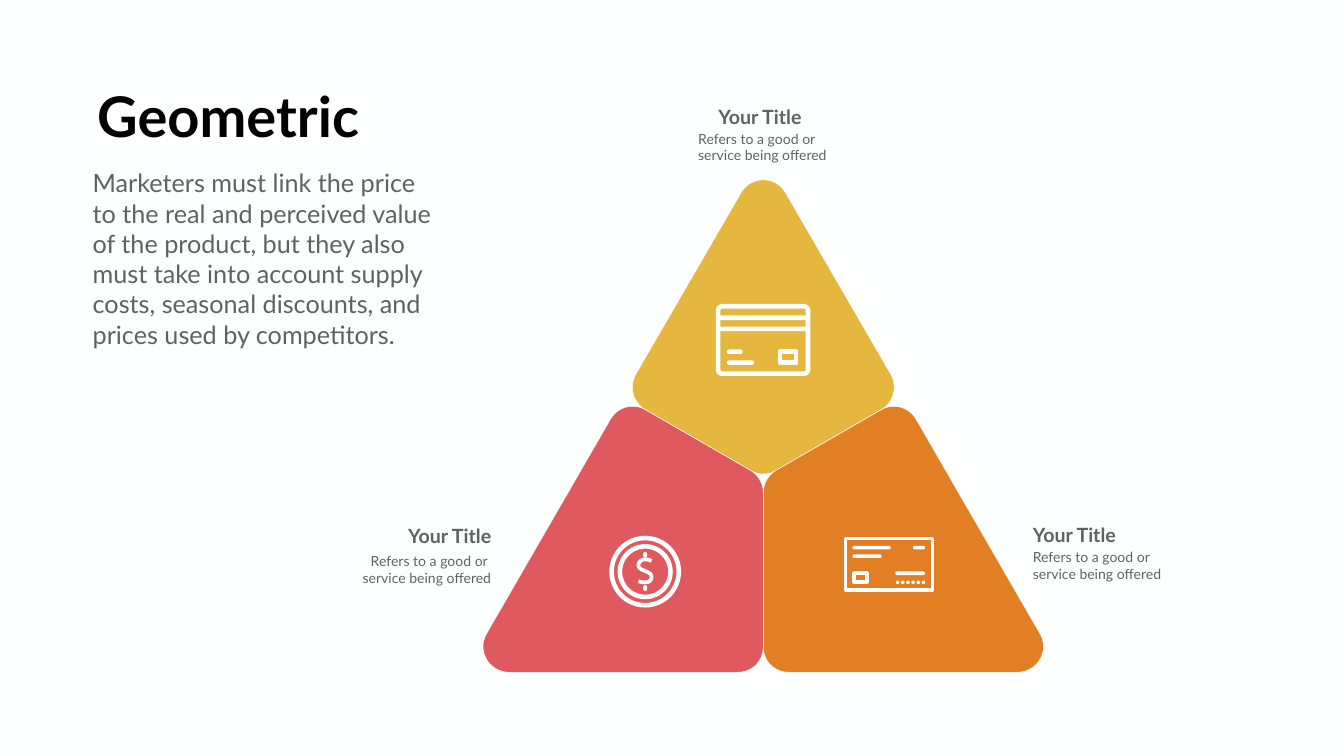
from pptx import Presentation
from pptx.dml.color import RGBColor
from pptx.enum.shapes import MSO_SHAPE
from pptx.enum.text import PP_ALIGN
from pptx.util import Cm, Pt

ROUNDED, RECT, OVAL = MSO_SHAPE.ROUNDED_RECTANGLE, MSO_SHAPE.RECTANGLE, MSO_SHAPE.OVAL
LEFT, CENTER, RIGHT = PP_ALIGN.LEFT, PP_ALIGN.CENTER, PP_ALIGN.RIGHT

COLORS = {
    "background": "FEFFFF", "title": "000000", "text": "616161", "white": "FFFFFF",
    "top": "E5B73F", "right": "E27E24", "left": "DF595E",
}
FORMATS = {
    "title": {"size": Pt(80), "bold": True},
    "body": {"size": Pt(36), "bold": False},
    "heading": {"size": Pt(28), "bold": True},
    "detail": {"size": Pt(20), "bold": False},
}

# Rounded corners as Bezier points in cm: x from the triangle's axis, y from its tip
TIP = [(1.13, 0.89), (0.63, 0), (-0.63, 0), (-1.13, 0.89)]
TOP_SIDE = [(-6.43, 10.03), (-6.78, 10.67), (-6.55, 11.46), (-5.94, 11.81)]
TOP_FOOT = [(-0.65, 14.86), (-0.24, 15.11), (0.24, 15.11), (0.65, 14.86)]
RIGHT_CORNERS = [
    [(0.65, 14.86), (0.24, 15.11), (0, 15.54), (0, 16)],
    [(0, 23.75), (0, 24.49), (0.56, 25.04), (1.3, 25.04)],
    [(12.8, 25.04), (13.82, 25.04), (14.45, 23.95), (13.94, 23.09)],
    [(7.7, 12.29), (7.34, 11.66), (6.55, 11.46), (5.94, 11.81)],
]
DOLLAR_CURVES = [
    [(2.13, 1.27), (1.75, 1.09), (1.47, 1.24), (1.47, 1.5)],
    [(1.47, 1.5), (1.47, 1.78), (2.13, 1.75), (2.13, 2.08)],
    [(2.13, 2.08), (2.13, 2.36), (1.8, 2.41), (1.47, 2.29)],
]


def rgb(name):
    return RGBColor.from_string(COLORS[name])


def mirror(corner):
    return [(-x, y) for x, y in reversed(corner)]


def bezier(curve, steps=16):
    points = []
    for step in range(steps + 1):
        t = step / steps
        weights = ((1 - t) ** 3, 3 * t * (1 - t) ** 2, 3 * t ** 2 * (1 - t), t ** 3)
        points.append(tuple(sum(w * p[axis] for w, p in zip(weights, curve))
                            for axis in (0, 1)))
    return points


def add_curves(slide, left, top, curves, close=True):
    """Draw Bezier curves joined by straight edges, measured from (left, top)."""
    points = [(Cm(left + x), Cm(top + y)) for curve in curves for x, y in bezier(curve)]
    builder = slide.shapes.build_freeform(*points[0])
    builder.add_line_segments(points[1:], close=close)
    outline = builder.convert_to_shape()
    outline.shadow.inherit = False
    return outline


def add_white(slide, kind, left, top, width, height, stroke=None, radius=0.5):
    """Add a solid white shape, or a white frame whose stroke lies inside the box."""
    inset = (stroke or 0) / 2
    part = slide.shapes.add_shape(kind, Cm(left + inset), Cm(top + inset),
                                  Cm(width - 2 * inset), Cm(height - 2 * inset))
    part.shadow.inherit = False
    if kind == ROUNDED:
        part.adjustments[0] = radius
    if stroke:
        part.fill.background()
        part.line.color.rgb = rgb("white")
        part.line.width = Cm(stroke)
    else:
        part.fill.solid()
        part.fill.fore_color.rgb = rgb("white")
        part.line.fill.background()


def add_bars(slide, left, top, thickness, bars):
    for x, y, length in bars:
        add_white(slide, ROUNDED, left + x, top + y, length, thickness)


def add_triangle(slide, left, top, width):
    axis = left + width / 2
    pieces = {
        "top": [TIP, TOP_SIDE, TOP_FOOT, mirror(TOP_SIDE)],
        "right": RIGHT_CORNERS,
        "left": [mirror(corner) for corner in reversed(RIGHT_CORNERS)],
    }
    for color, corners in pieces.items():
        piece = add_curves(slide, axis, top, corners)
        piece.fill.solid()
        piece.fill.fore_color.rgb = rgb(color)
        piece.line.color.rgb = rgb("white")
        piece.line.width = Pt(0.75)


def add_card_icon(slide, left, top, width, height):
    stroke = 0.23
    add_white(slide, ROUNDED, left, top, width, height, stroke, radius=0.06)
    add_bars(slide, left, top, stroke, [
        (0, 0.58, width), (0, 1.14, width), (0.56, 2.29, 0.79), (0.56, 2.84, 1.37)])
    add_white(slide, RECT, left + 3.12, top + 2.29, 1.04, 0.79, stroke)


def add_cheque_icon(slide, left, top, width, height):
    stroke = 0.18
    add_white(slide, RECT, left, top, width, height, stroke)
    add_bars(slide, left, top, stroke, [
        (0.43, 0.46, 1.93), (0.43, 0.89, 1.47), (3.48, 0.46, 0.61), (2.59, 1.75, 1.5)])
    add_white(slide, RECT, left + 0.43, top + 1.75, 0.84, 0.61, stroke)
    for dot in range(6):
        add_white(slide, OVAL, left + 2.62 + 0.26 * dot, top + 2.21, stroke, stroke)


def add_coin_icon(slide, left, top, size):
    for inset in (0, 0.42):
        add_white(slide, OVAL, left + inset, top + inset,
                  size - 2 * inset, size - 2 * inset, stroke=0.23)
    dollar = add_curves(slide, left, top, DOLLAR_CURVES, close=False)
    dollar.fill.background()
    dollar.line.color.rgb = rgb("white")
    dollar.line.width = Cm(0.19)
    for y in (0.81, 2.49):
        add_white(slide, ROUNDED, left + size / 2 - 0.1, top + y, 0.2, 0.29)


def add_text(slide, left, top, width, height, lines, style, color="text", align=LEFT):
    box = slide.shapes.add_textbox(Cm(left), Cm(top), Cm(width), Cm(height))
    frame = box.text_frame
    frame.word_wrap = True
    frame.text = "\n".join(lines)
    for paragraph in frame.paragraphs:
        paragraph.alignment = align
        paragraph.font.name = "Lato"
        paragraph.font.color.rgb = rgb(color)
        for attribute, value in FORMATS[style].items():
            setattr(paragraph.font, attribute, value)


def add_label(slide, left, top, width, gap, indent=0, align=LEFT, first="Refers to a good or"):
    """Place a heading, indented from the box's left, and its detail gap below the top."""
    add_text(slide, left + indent, top, width - indent, 1.3, ["Your Title"],
             "heading", align=align)
    add_text(slide, left, top + gap, width, 1.86, [first, "service being offered"],
             "detail", align=align)


def add_intro(slide, left, top, width):
    add_text(slide, left + 0.08, top, 14, 3.68, ["Geometric"], "title", "title", CENTER)
    add_text(slide, left, top + 4.34, width, 9.27, [
        "Marketers must link the price to the real and perceived value of the product, "
        "but they also must take into account supply costs, seasonal discounts, "
        "and prices used by competitors."], "body")


def main():
    presentation = Presentation()
    presentation.slide_width, presentation.slide_height = Cm(67.72), Cm(38.1)
    slide = presentation.slides.add_slide(presentation.slide_layouts[6])
    slide.background.fill.solid()
    slide.background.fill.fore_color.rgb = rgb("background")

    add_triangle(slide, 24, 8.84, 28.92)
    add_card_icon(slide, 36.07, 15.32, 4.76, 3.63)
    add_cheque_icon(slide, 42.52, 27.05, 4.55, 2.79)
    add_coin_icon(slide, 30.7, 27, 3.62)
    add_intro(slide, 4.42, 3.99, 17.81)
    add_label(slide, 34.93, 5.18, 7.14, 1.25, indent=1.02)
    add_label(slide, 51.79, 26.24, 7.14, 1.3)
    add_label(slide, 17.86, 26.26, 7.14, 1.45, align=RIGHT, first="Refers to a good or ")

    presentation.save("out.pptx")


if __name__ == "__main__":
    main()
